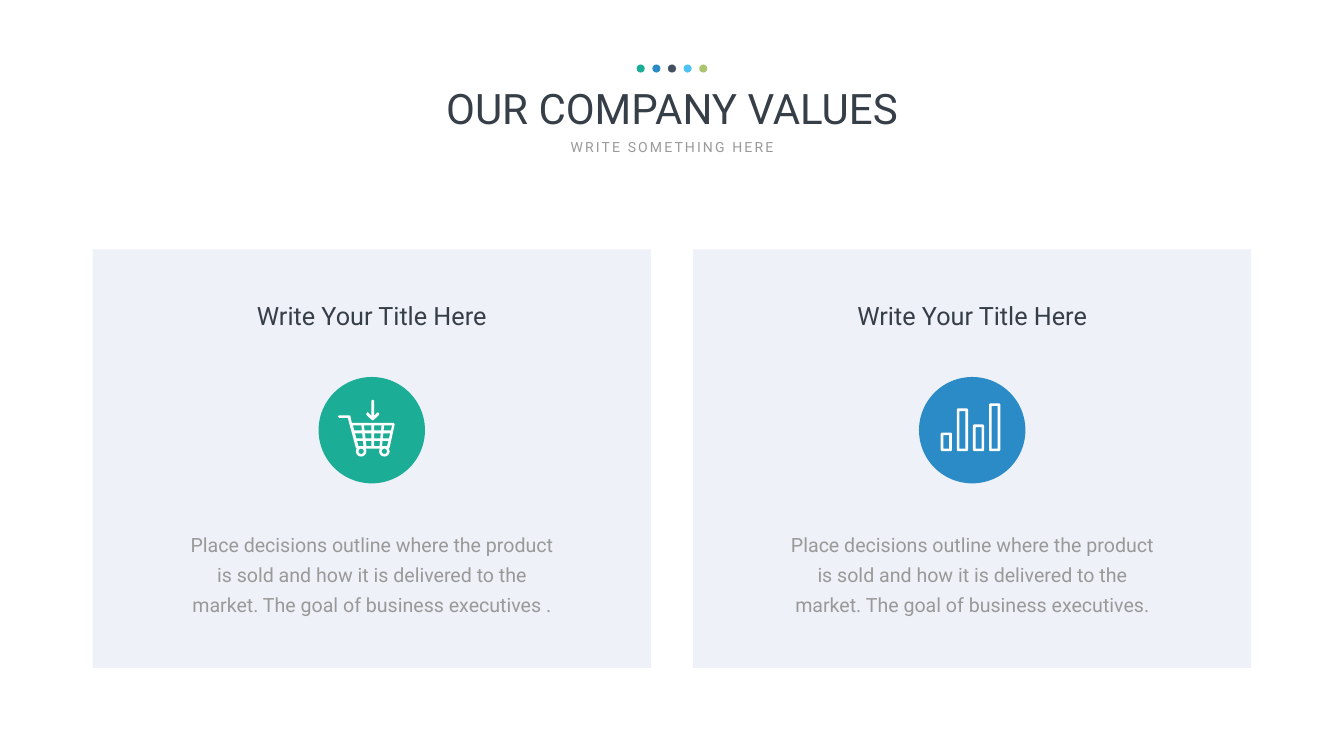
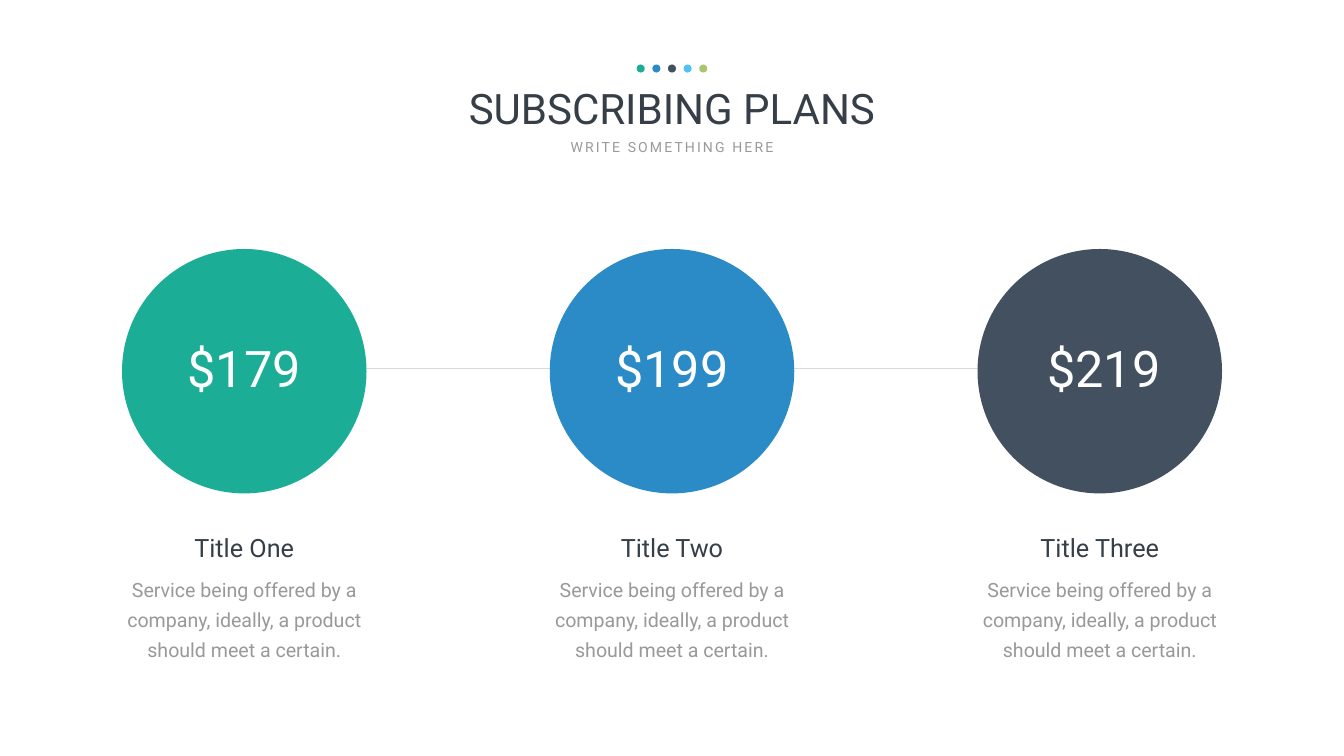
"""Build the company values and subscribing plans slides."""
import math

from pptx import Presentation
from pptx.dml.color import RGBColor
from pptx.enum import shapes, text
from pptx.oxml import parse_xml
from pptx.oxml.ns import nsdecls
from pptx.util import Pt

COLORS = {
    "green": "1CAD97", "blue": "2B8BC7", "slate": "425060", "sky": "4EC2F4",
    "olive": "AAC46F", "ink": "363E48", "gray": "999999", "panel": "EFF1F8",
    "rule": "D9D9D9", "white": "FFFFFF",
}
FONT = "Roboto"
WIDTH, HEIGHT = 1919.52, 1080
MIDDLE = WIDTH / 2
SUBTITLE = "WRITE SOMETHING HERE"
DOTS = ["green", "blue", "slate", "sky", "olive"]

VALUES_TITLE = "OUR COMPANY VALUES"
VALUES = [
    ("Write Your Title Here", "green", "cart",
     "Place decisions outline where the product is sold and how it is "
     "delivered to the market. The goal of business executives ."),
    ("Write Your Title Here", "blue", "bars",
     "Place decisions outline where the product is sold and how it is "
     "delivered to the market. The goal of business executives."),
]

PLANS_TITLE = "SUBSCRIBING PLANS"
PLAN_BODY = ("Service being offered by a company, ideally, a product "
             "should meet a certain.")
PLANS = [
    ("Title One", "$179", "green", 0),
    ("Title Two", "$199", "blue", 0),
    ("Title Three", "$219", "slate", 5.76),
]

BAR_HEIGHTS = [26.6, 61.2, 38.2, 68.4]
CART_HANDLE = [
    (101.5, 100.8), (108.7, 67.7), (107.3, 65.5), (47.5, 65.5), (45.4, 55.4),
    (43.2, 54.7), (29.5, 54.7), (27.4, 56.5), (29.5, 58.3), (41.8, 58.3),
    (53.3, 101.5),
]
CART_WHEELS = [(60.8, 106.2), (94, 106.2)]
CART_ROWS = [(69.1, 76.3), (80.6, 87.8), (91.4, 98.6)]
CART_COLUMNS = [
    ((49, 56.9), (61.2, 64.1)), ((64.8, 68.4), (75.6, 75.6)),
    ((79.2, 79.2), (90, 87.1)), ((93.6, 90.7), (105.1, 97.9)),
]
ARROW_X = 77.4
ARROW_HALF = [(0, 61.9), (1.2, 61.6), (9, 54), (9, 52), (7.6, 50.4),
              (6.1, 51.1), (1.8, 55.4), (1.8, 33.8), (0, 32.4)]


def rgb(color):
    return RGBColor.from_string(COLORS[color])


def paint(shape, color):
    shape.shadow.inherit = False
    shape.fill.solid()
    shape.fill.fore_color.rgb = rgb(color)
    shape.line.fill.background()


def add_block(slide, preset, center, top, width, height, color):
    block = slide.shapes.add_shape(
        preset, Pt(center - width / 2), Pt(top), Pt(width), Pt(height))
    paint(block, color)


def add_circle(slide, center, top, size, color):
    add_block(slide, shapes.MSO_SHAPE.OVAL, center, top, size, size, color)


def write(box, words, size, color, spacing=None, inset=(7.2, 3.6), wrap=True):
    frame = box.text_frame
    frame.text = words
    frame.word_wrap = wrap
    frame.auto_size = text.MSO_AUTO_SIZE.NONE
    frame.vertical_anchor = text.MSO_ANCHOR.TOP
    frame.margin_left = frame.margin_right = Pt(inset[0])
    frame.margin_top = frame.margin_bottom = Pt(inset[1])
    paragraph = frame.paragraphs[0]
    paragraph.alignment = text.PP_ALIGN.CENTER
    if spacing:
        paragraph.line_spacing = Pt(spacing)
    paragraph.font.name = FONT
    paragraph.font.size = Pt(size)
    paragraph.font.color.rgb = rgb(color)
    return paragraph


def add_text(slide, words, center, top, width, height, size, color, **style):
    box = slide.shapes.add_textbox(
        Pt(center - width / 2), Pt(top), Pt(width), Pt(height))
    return write(box, words, size, color, **style)


def add_headed_slide(deck, heading):
    slide = deck.slides.add_slide(deck.slide_layouts[5])
    title = slide.shapes.title
    title.left, title.top = Pt(MIDDLE - 405), Pt(114.48)
    title.width, title.height = Pt(810), Pt(80)
    write(title, heading, 60, "ink")
    subtitle = add_text(slide, SUBTITLE, MIDDLE, 194.4, 313.2, 31.68,
                        20, "gray", wrap=False)
    subtitle.runs[0]._r.get_or_add_rPr().set("spc", "300")
    for index, color in enumerate(DOTS):
        add_circle(slide, MIDDLE + (index - 2) * 22.32, 92.16, 11.52, color)
    return slide


def arc(center, radius, start, end, steps=24):
    angles = [math.radians(start + (end - start) * step / steps)
              for step in range(steps + 1)]
    return [(center[0] + radius * math.cos(angle),
             center[1] + radius * math.sin(angle)) for angle in angles]


def bars_outlines():
    outlines = []
    base, width, wall, corner = 106, 16, 3.8, 1.5
    for index, height in enumerate(BAR_HEIGHTS):
        left, top = 31 + index * 23.04, base - height
        right = left + width
        outlines.append([
            (left + corner, top), (right - corner, top),
            (right, top + corner), (right, base - corner),
            (right - corner, base), (left + corner, base),
            (left, base - corner), (left, top + corner)])
        outlines.append([
            (left + wall, top + wall), (left + wall, base - wall),
            (right - wall, base - wall), (right - wall, top + wall)])
    return outlines


def cart_outlines():
    body = list(CART_HANDLE)
    for wheel in CART_WHEELS:
        body += arc(wheel, 7.4, 213, -33)
    outlines = [body]
    outlines += [arc(wheel, 3.8, 0, 360) for wheel in CART_WHEELS]
    first, last = CART_ROWS[0][0], CART_ROWS[-1][1]

    def edge_x(edge, y):
        return edge[0] + (edge[1] - edge[0]) * (y - first) / (last - first)

    for left, right in CART_COLUMNS:
        for top, bottom in CART_ROWS:
            outlines.append([
                (edge_x(left, top), top), (edge_x(left, bottom), bottom),
                (edge_x(right, bottom), bottom), (edge_x(right, top), top)])
    mirrored = [(-x, y) for x, y in reversed(ARROW_HALF[1:-1])]
    outlines.append([(ARROW_X + x, y) for x, y in ARROW_HALF + mirrored])
    return outlines


ICONS = {"bars": bars_outlines, "cart": cart_outlines}


def add_icon(slide, icon, left, top):
    outlines = [[(Pt(left + x), Pt(top + y)) for x, y in outline]
                for outline in ICONS[icon]()]
    builder = slide.shapes.build_freeform(*outlines[0][0])
    for index, outline in enumerate(outlines):
        if index:
            builder.move_to(*outline[0])
        builder.add_line_segments(outline[1:], close=True)
    paint(builder.convert_to_shape(), "white")


def build_values(deck):
    slide = add_headed_slide(deck, VALUES_TITLE)
    badge, badge_top = 152, 538.56
    for index, (heading, color, icon, body) in enumerate(VALUES):
        center = MIDDLE + (index - 0.5) * 857.52
        add_block(slide, shapes.MSO_SHAPE.RECTANGLE, center, 356.4,
                  797.04, 597.6, "panel")
        add_text(slide, heading, center, 424.8, 403.2, 51, 36, "ink")
        add_text(slide, body, center, 748.8, 548.64, 136, 28, "gray",
                 spacing=43)
        add_circle(slide, center, badge_top, badge, color)
        add_icon(slide, icon, center - badge / 2, badge_top)


def build_plans(deck):
    slide = add_headed_slide(deck, PLANS_TITLE)
    rule = slide.shapes.add_connector(
        shapes.MSO_CONNECTOR.STRAIGHT,
        Pt(292.32), Pt(525.6), Pt(1592.64), Pt(525.6))
    rule.line.color.rgb = rgb("rule")
    rule.line.width = Pt(0.5)
    rule._element.spPr.append(parse_xml(f"<a:effectLst {nsdecls('a')}/>"))
    for index, (heading, price, color, nudge) in enumerate(PLANS):
        center = MIDDLE + (index - 1) * 610.92
        add_circle(slide, center, 355.68, 349.2, color)
        add_text(slide, price, center + nudge, 478.08, 221, 94.32,
                 72, "white")
        add_text(slide, heading, center, 756.72, 408.24, 51, 36, "ink")
        add_text(slide, PLAN_BODY, center, 807.12, 408.24, 144, 28, "gray",
                 spacing=43, inset=(17.28, 8.64))


def main():
    deck = Presentation()
    deck.slide_width, deck.slide_height = Pt(WIDTH), Pt(HEIGHT)
    build_values(deck)
    build_plans(deck)
    deck.save("out.pptx")


if __name__ == "__main__":
    main()
